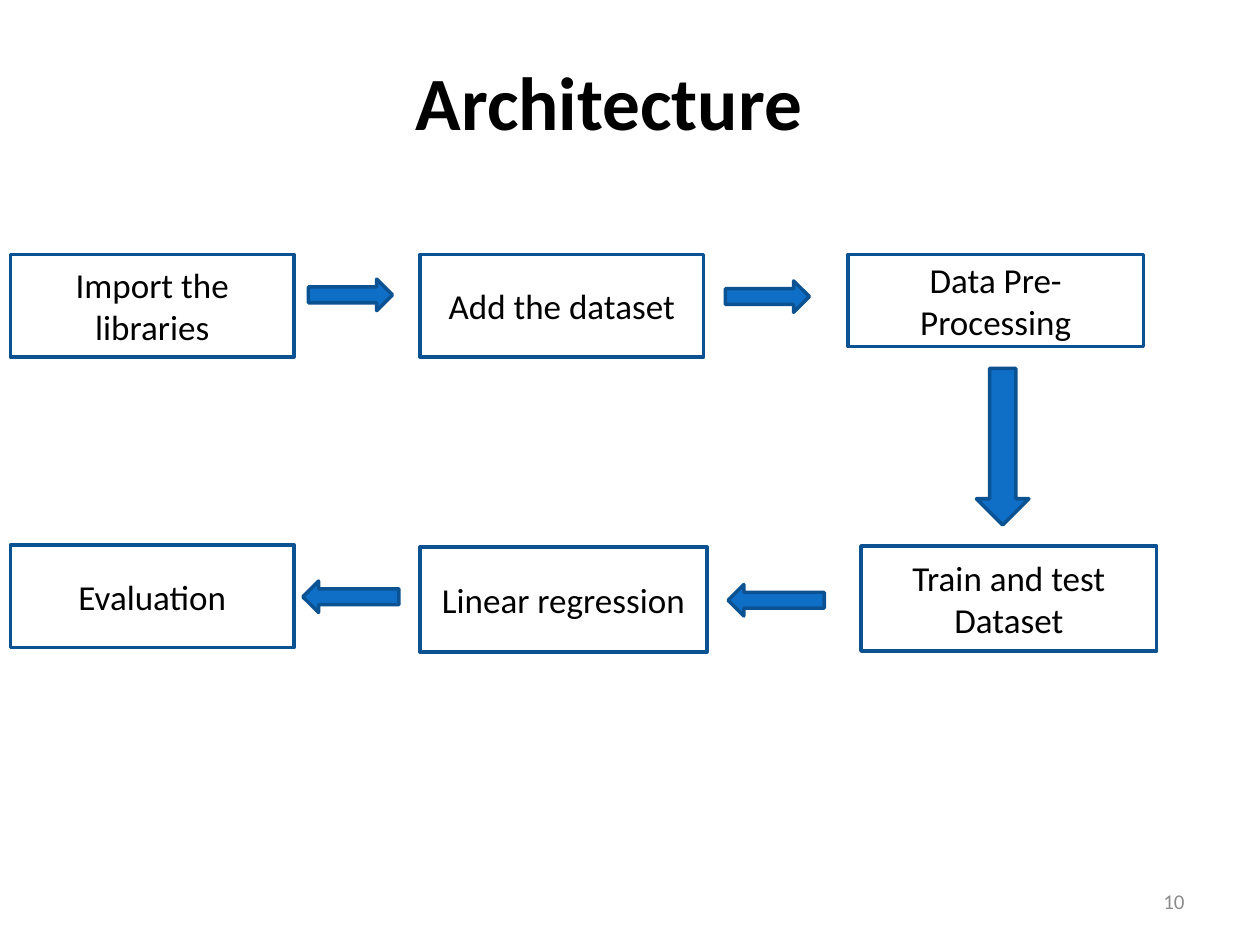
from dataclasses import dataclass
from pptx import Presentation
from pptx.dml.color import RGBColor as RGB
from pptx.enum.shapes import MSO_SHAPE as Kind
from pptx.enum.text import MSO_ANCHOR as Anchor, PP_ALIGN as Align
from pptx.util import Pt


@dataclass
class Theme:
    font: str = "Calibri"
    ink: str = "000000"
    blue: str = "0F6FC6"
    edge: str = "0B5292"
    gray: str = "8C8C8C"
    head: float = 43
    body: float = 20
    note: float = 12
    rule: float = 2


class Deck:
    """Draws the parts of a flow slide in one style, with lengths in points."""

    def __init__(self, theme, wide, high):
        self.theme = theme
        self.file = Presentation()
        self.file.slide_width, self.file.slide_height = Pt(wide), Pt(high)
        self.slide = self.file.slides.add_slide(self.file.slide_layouts[5])

    def label(self, shape, text, size, color, align, anchor=Anchor.MIDDLE, bold=False):
        frame = shape.text_frame
        frame.text = text
        frame.word_wrap = True
        frame.vertical_anchor = anchor
        for para in frame.paragraphs:
            para.alignment = align
            for run in para.runs:
                font = run.font
                font.name, font.size, font.bold = self.theme.font, Pt(size), bold
                font.color.rgb = RGB.from_string(color)

    def title(self, text, left, top, wide, high):
        shape = self.slide.shapes.title
        shape.left, shape.top, shape.width, shape.height = map(Pt, (left, top, wide, high))
        self.label(shape, text, self.theme.head, self.theme.ink, Align.CENTER, Anchor.TOP, True)

    def shape(self, kind, place):
        shape = self.slide.shapes.add_shape(kind, *map(Pt, place))
        shape.shadow.inherit = False
        shape.line.color.rgb = RGB.from_string(self.theme.edge)
        shape.line.width = Pt(self.theme.rule)
        return shape

    def box(self, text, *place):
        shape = self.shape(Kind.RECTANGLE, place)
        shape.fill.background()
        self.label(shape, text, self.theme.body, self.theme.ink, Align.CENTER)

    def arrow(self, kind, turn, *place):
        shape = self.shape(kind, place)
        shape.fill.solid()
        shape.fill.fore_color.rgb = RGB.from_string(self.theme.blue)
        shape.rotation = turn

    def number(self, text, *place):
        shape = self.slide.shapes.add_textbox(*map(Pt, place))
        self.label(shape, text, self.theme.note, self.theme.gray, Align.RIGHT)


deck = Deck(Theme(), 720, 540)
deck.title("Architecture", 24, 28, 648, 456)
deck.number("10", 516, 500.5, 168, 28.75)

steps = [
    ("Import the libraries", 6, 145.5, 162, 58.5),
    ("Add the dataset", 240, 145.5, 162, 58.5),
    ("Data Pre-Processing", 484.5, 145.5, 169, 52.5),
    ("Train and test Dataset", 492, 312, 169, 60),
    ("Linear regression", 240, 312.5, 164, 60),
    ("Evaluation", 6, 311.5, 162, 58.5),
]
for step in steps:
    deck.box(*step)

arrows = [
    (Kind.RIGHT_ARROW, 0, 176.25, 159.5, 48, 18),
    (Kind.RIGHT_ARROW, 0, 414.5, 160.5, 48, 18),
    (Kind.DOWN_ARROW, 0, 558, 210.5, 30, 89.5),
    (Kind.RIGHT_ARROW, 180, 416, 334, 55, 18),
    (Kind.RIGHT_ARROW, 180, 173, 332, 55, 18),
]
for arrow in arrows:
    deck.arrow(*arrow)

deck.file.save("out.pptx")
